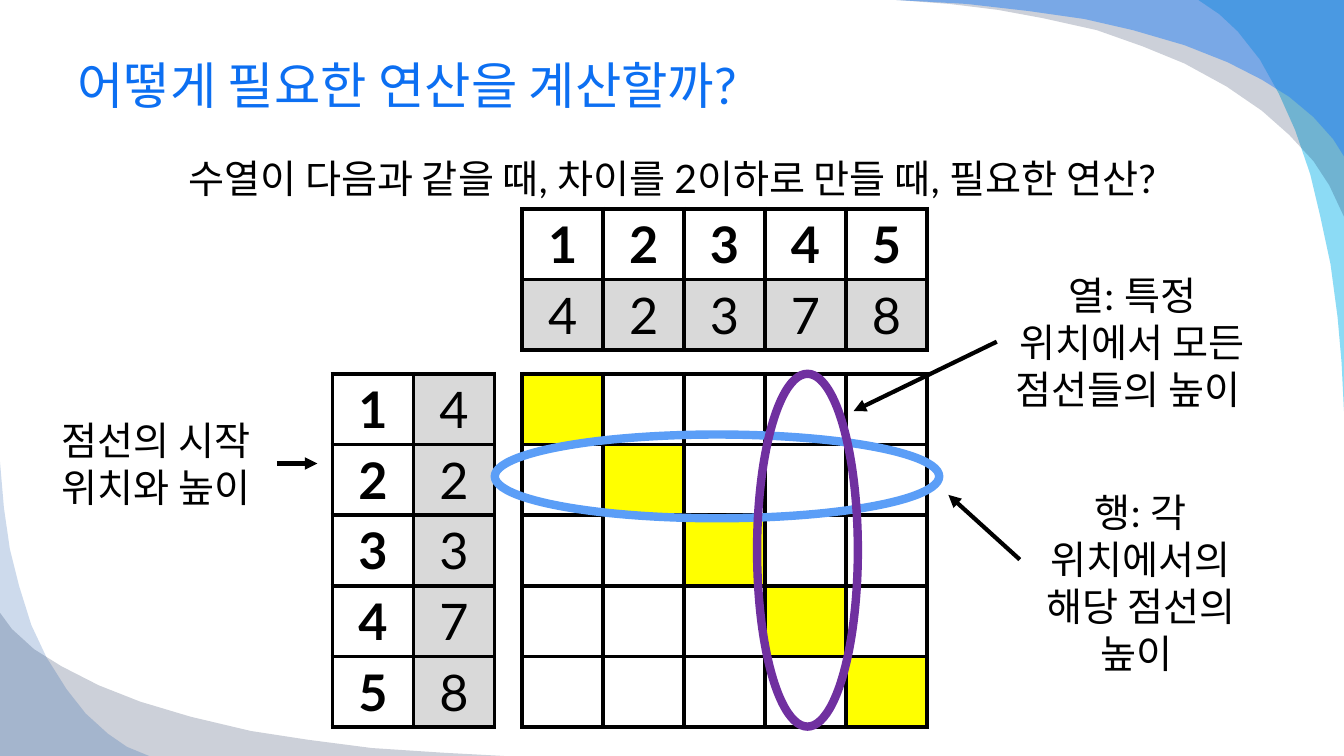
from dataclasses import dataclass

from lxml import etree
from pptx import Presentation
from pptx.dml.color import RGBColor
from pptx.enum.shapes import MSO_CONNECTOR, MSO_SHAPE
from pptx.enum.text import MSO_ANCHOR, PP_ALIGN
from pptx.oxml.ns import qn
from pptx.util import Cm, Pt

LEFT, CENTER = PP_ALIGN.LEFT, PP_ALIGN.CENTER
TOP, MIDDLE = MSO_ANCHOR.TOP, MSO_ANCHOR.MIDDLE
STRAIGHT, OVAL = MSO_CONNECTOR.STRAIGHT, MSO_SHAPE.OVAL
TITLE_ONLY = 5
CELL_WIDTH, CELL_HEIGHT = 2.04, 1.78
SEQUENCE = [4, 2, 3, 7, 8]
SIZE = len(SEQUENCE)


@dataclass(frozen=True)
class Theme:
    font: str = "Lato"
    title: str = "0C6FF2"
    ink: str = "000000"
    paper: str = "FFFFFF"
    value: str = "D9D9D9"
    diagonal: str = "FFFF00"
    row_ring: str = "5B9EF7"
    column_ring: str = "7030A0"
    cyan: str = "00B1E9"
    navy: str = "021741"
    blue: str = "247FF4"
    deep_blue: str = "084AA1"
    large: int = 36
    medium: int = 28
    thin: int = 3
    thick: int = 6


THEME = Theme()

WAVES = [
    (THEME.cyan, 45, (33.87, 0),
     [(30.2, 0), (30.73, 0.36), (31.19, 0.79), (31.75, 1.5), (32.23, 2.36),
      (32.64, 3.28), (33.02, 4.39), (33.27, 5.44), (33.53, 6.65),
      (33.71, 8), (33.81, 9.14), (33.87, 10.36)]),
    (THEME.navy, 20, (33.87, 0),
     [(22.58, 0), (23.93, 0.1), (25.15, 0.25), (26.29, 0.46), (27.64, 0.76),
      (28.8, 1.17), (29.85, 1.6), (30.91, 2.18), (31.8, 2.79),
      (32.49, 3.4), (33.1, 4.06), (33.5, 4.67), (33.87, 5.46)]),
    (THEME.blue, 49, (33.87, 0),
     [(22.58, 0), (24.36, 0.1), (25.93, 0.28), (27.33, 0.48), (28.55, 0.76),
      (29.85, 1.14), (30.94, 1.57), (31.8, 2.01), (32.49, 2.44),
      (33.1, 2.95), (33.6, 3.51), (33.87, 3.94)]),
    (THEME.navy, 20, (0, 19.05),
     [(0, 15.44), (0.3, 15.85), (0.86, 16.36), (1.55, 16.79), (2.49, 17.27),
      (3.53, 17.68), (4.8, 18.06), (6.32, 18.42), (7.75, 18.64),
      (9.37, 18.85), (11.2, 18.97), (12.7, 19.05)]),
    (THEME.deep_blue, 20, (0, 19.05),
     [(0, 11.63), (0.1, 12.8), (0.25, 13.84), (0.48, 14.76), (0.79, 15.75),
      (1.17, 16.56), (1.68, 17.37), (2.16, 17.98), (2.72, 18.49),
      (3.2, 18.82), (3.76, 19.05)]),
]


def color(code):
    return RGBColor.from_string(code)


def lengths(*values):
    return [Cm(value) for value in values]


def write(frame, text, size, ink=THEME.ink, bold=False, align=CENTER, anchor=TOP):
    frame.word_wrap = True
    frame.vertical_anchor = anchor
    para = frame.paragraphs[0]
    para.text = text
    para.alignment = align
    para.font.name = THEME.font
    para.font.size = Pt(size)
    para.font.bold = bold
    para.font.color.rgb = color(ink)


def add_wave(page, tint, opacity, corner, curve):
    builder = page.shapes.build_freeform(*lengths(*corner))
    builder.add_line_segments([lengths(*point) for point in curve])
    wave = builder.convert_to_shape()
    wave.shadow.inherit = False
    wave.fill.solid()
    wave.fill.fore_color.rgb = color(tint)
    wave.line.fill.background()
    tint_element = wave._element.spPr.find(qn("a:solidFill"))[0]
    etree.SubElement(tint_element, qn("a:alpha"), val=str(opacity * 1000))


def add_title(page, text):
    title = page.shapes.title
    title.left, title.top, title.width, title.height = lengths(1.7, 0.84, 30.48, 2.57)
    write(title.text_frame, text, THEME.large, THEME.title, align=LEFT, anchor=MIDDLE)


def add_text(page, text, left, top, width, height):
    box = page.shapes.add_textbox(*lengths(left, top, width, height))
    write(box.text_frame, text, THEME.medium)


def add_borders(cell):
    properties = cell._tc.get_or_add_tcPr()
    for side in ("lnL", "lnR", "lnT", "lnB"):
        border = etree.SubElement(properties, qn(f"a:{side}"), w=str(Pt(THEME.thin)))
        fill = etree.SubElement(border, qn("a:solidFill"))
        etree.SubElement(fill, qn("a:srgbClr"), val=THEME.ink)


def add_grid(page, left, top, rows):
    row_count, column_count = len(rows), len(rows[0])
    size = lengths(CELL_WIDTH * column_count, CELL_HEIGHT * row_count)
    frame = page.shapes.add_table(row_count, column_count, *lengths(left, top), *size)
    table = frame.table
    table.first_row = table.horz_banding = False
    for column in table.columns:
        column.width = Cm(CELL_WIDTH)
    for row, contents in zip(table.rows, rows):
        row.height = Cm(CELL_HEIGHT)
        for cell, (text, tint, bold) in zip(row.cells, contents):
            add_borders(cell)
            cell.fill.solid()
            cell.fill.fore_color.rgb = color(tint)
            if text:
                write(cell.text_frame, text, THEME.large, bold=bold)
                cell.vertical_anchor = MIDDLE


def add_arrow(page, *ends):
    arrow = page.shapes.add_connector(STRAIGHT, *lengths(*ends))
    arrow.line.color.rgb = color(THEME.ink)
    arrow.line.width = Pt(THEME.thin)
    etree.SubElement(arrow.line._get_or_add_ln(), qn("a:tailEnd"), type="triangle")
    etree.SubElement(arrow._element.spPr, qn("a:effectLst"))


def add_ring(page, tint, *area):
    ring = page.shapes.add_shape(OVAL, *lengths(*area))
    ring.shadow.inherit = False
    ring.fill.background()
    ring.line.color.rgb = color(tint)
    ring.line.width = Pt(THEME.thick)


def main():
    deck = Presentation()
    deck.slide_width, deck.slide_height = lengths(33.87, 19.05)
    page = deck.slides.add_slide(deck.slide_layouts[TITLE_ONLY])

    for wave in WAVES:
        add_wave(page, *wave)
    add_title(page, "어떻게 필요한 연산을 계산할까?")
    add_text(page, "수열이 다음과 같을 때, 차이를 2이하로 만들 때, 필요한 연산?",
             1.7, 3.76, 30.48, 1.57)

    positions = [(str(index), THEME.paper, True) for index in range(1, SIZE + 1)]
    heights = [(str(height), THEME.value, False) for height in SEQUENCE]
    matrix = [[("", THEME.diagonal if row == column else THEME.paper, False)
               for column in range(SIZE)] for row in range(SIZE)]
    add_grid(page, 8.38, 9.42, list(zip(positions, heights)))
    add_grid(page, 13.16, 5.26, [positions, heights])
    add_grid(page, 13.16, 9.42, matrix)

    add_arrow(page, 6.98, 11.68, 8, 11.68)
    add_text(page, "점선의 시작 위치와 높이", 0.89, 10.36, 6.1, 2.64)
    add_arrow(page, 25.7, 14.1, 23.9, 12.47)
    add_text(page, "행: 각 위치에서의 해당 점선의 높이 ", 25.7, 12.17, 6.1, 3.84)
    add_ring(page, THEME.row_ring, 12.47, 10.95, 11.2, 2.11)
    add_ring(page, THEME.column_ring, 19.08, 9.42, 2.54, 8.89)
    add_text(page, "열: 특정 위치에서 모든 점선들의 높이 ", 25.12, 6.71, 6.83, 3.84)
    add_arrow(page, 25.12, 8.61, 21.51, 10.36)

    deck.save("out.pptx")


if __name__ == "__main__":
    main()
